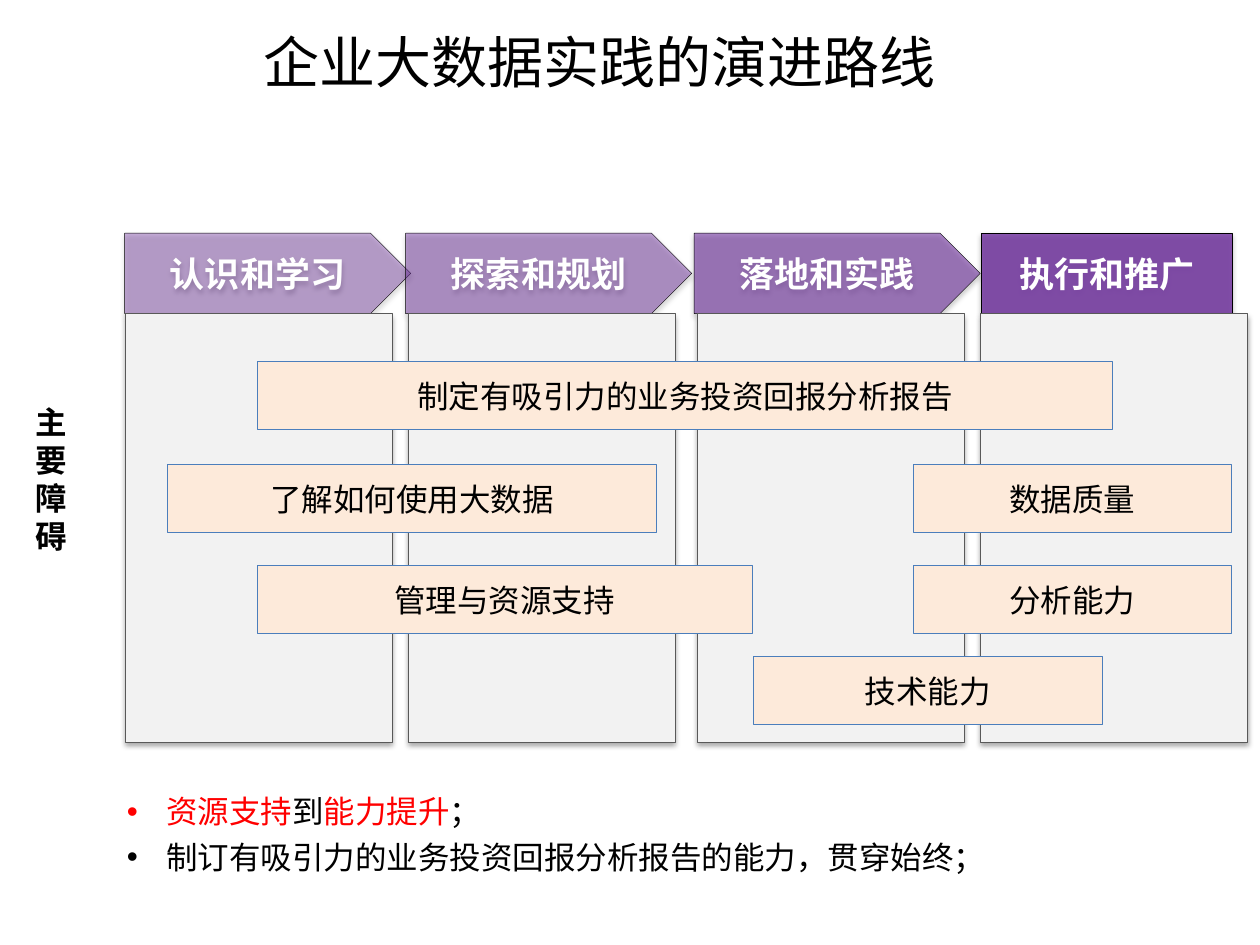
from lxml import etree
from pptx import Presentation
from pptx.dml.color import RGBColor
from pptx.enum.shapes import MSO_SHAPE as Shape
from pptx.enum.text import MSO_ANCHOR as Anchor, PP_ALIGN as Align
from pptx.oxml.ns import qn
from pptx.util import Inches, Pt

COLORS = {
    "text": "000000", "white": "FFFFFF", "accent": "FF0000", "stage": "7030A0",
    "column": "F2F2F2", "column_line": "595959",
    "barrier": "FDEADA", "barrier_line": "4B7EBC",
}

# Stage name, left, width, shape, opacity in percent
STAGES = [
    ("认识和学习", 0.99, 2.27, Shape.PENTAGON, 39),
    ("探索和规划", 3.22, 2.27, Shape.PENTAGON, 45),
    ("落地和实践", 5.51, 2.27, Shape.PENTAGON, 58),
    ("执行和推广", 7.79, 1.99, Shape.RECTANGLE, 80),
]
COLUMN_LEFTS = [0.99, 3.24, 5.53, 7.78]
# Barrier, left, top, width
BARRIERS = [
    ("制定有吸引力的业务投资回报分析报告", 2.04, 2.87, 6.79),
    ("了解如何使用大数据", 1.33, 3.69, 3.88),
    ("管理与资源支持", 2.04, 4.49, 3.93),
    ("技术能力", 5.98, 5.21, 2.77),
    ("数据质量", 7.25, 3.69, 2.52),
    ("分析能力", 7.25, 4.49, 2.52),
]
# Each bullet is a list of (text, colour name)
BULLETS = [
    [("资源支持", "accent"), ("到", "text"), ("能力提升", "accent"), ("；", "text")],
    [("制订有吸引力的业务投资回报分析报告的能力，贯穿始终；", "text")],
]


def color(name):
    return RGBColor.from_string(COLORS[name])


def format_font(font, size, color_name, bold=False):
    font.name = "Calibri"
    font.size = Pt(size)
    font.bold = bold
    font.color.rgb = color(color_name)


def write_text(shape, text, size, color_name, bold=False, anchor=Anchor.MIDDLE):
    frame = shape.text_frame
    frame.text = text
    frame.word_wrap = True
    frame.vertical_anchor = anchor
    paragraph = frame.paragraphs[0]
    paragraph.alignment = Align.CENTER
    format_font(paragraph.font, size, color_name, bold)


def add_box(slide, kind, box, fill, line, line_width):
    shape = slide.shapes.add_shape(kind, *map(Inches, box))
    shape.fill.solid()
    shape.fill.fore_color.rgb = color(fill)
    shape.line.color.rgb = color(line)
    shape.line.width = Pt(line_width)
    shape.shadow.inherit = False
    return shape


def set_alpha(parent, percent):
    etree.SubElement(parent, qn("a:alpha"), val=str(percent * 1000))


def add_shadow(shape):
    effects = shape._element.spPr.find(qn("a:effectLst"))
    shadow = etree.SubElement(
        effects, qn("a:outerShdw"), blurRad=str(Pt(3.1)), dist=str(Pt(1.8)),
        dir=str(90 * 60000), rotWithShape="0")
    set_alpha(etree.SubElement(shadow, qn("a:srgbClr"), val=COLORS["text"]), 35)


def place_title(slide, box):
    title = slide.shapes.title
    title.left, title.top, title.width, title.height = map(Inches, box)
    write_text(title, "企业大数据实践的演进路线", 32, "text")


def add_stages(slide, top, height):
    for name, left, width, kind, opacity in STAGES:
        stage = add_box(slide, kind, (left, top, width, height), "stage", "text", 0.25)
        set_alpha(stage._element.spPr.find(qn("a:solidFill"))[0], opacity)
        add_shadow(stage)
        write_text(stage, name, 20, "white", bold=True)


def add_side_label(slide, box):
    label = slide.shapes.add_textbox(*map(Inches, box))
    write_text(label, "主要障碍", 18, "text", bold=True, anchor=Anchor.TOP)


def add_columns(slide, top, width, height):
    for left in COLUMN_LEFTS:
        column = add_box(slide, Shape.RECTANGLE, (left, top, width, height),
                         "column", "column_line", 0.25)
        add_shadow(column)


def add_barriers(slide, height):
    for text, left, top, width in BARRIERS:
        barrier = add_box(slide, Shape.RECTANGLE, (left, top, width, height),
                          "barrier", "barrier_line", 0.5)
        write_text(barrier, text, 18, "text")


def add_bullets(slide, box):
    frame = slide.shapes.add_textbox(*map(Inches, box)).text_frame
    frame.word_wrap = True
    for index, parts in enumerate(BULLETS):
        paragraph = frame.add_paragraph() if index else frame.paragraphs[0]
        paragraph.line_spacing = 1.2
        properties = paragraph._p.get_or_add_pPr()
        properties.set("marL", str(Inches(0.31)))
        properties.set("indent", str(-Inches(0.31)))
        etree.SubElement(properties, qn("a:buFont"), typeface="Arial")
        etree.SubElement(properties, qn("a:buChar"), char="•")
        for text, color_name in parts:
            run = paragraph.add_run()
            run.text = text
            format_font(run.font, 18, color_name)


def main():
    presentation = Presentation()
    presentation.slide_width = Inches(10)
    presentation.slide_height = Inches(7.5)
    slide = presentation.slides.add_slide(presentation.slide_layouts[5])

    # Title and stage headers
    place_title(slide, (0.26, 0.14, 9, 0.69))
    add_stages(slide, top=1.85, height=0.64)

    # Barriers laid over the stage columns
    add_side_label(slide, (0.14, 3.15, 0.54, 1.31))
    add_columns(slide, top=2.49, width=2.12, height=3.4)
    add_barriers(slide, height=0.54)

    # Conclusions
    add_bullets(slide, (0.91, 6.18, 8.6, 0.83))
    presentation.save("out.pptx")


if __name__ == "__main__":
    main()
